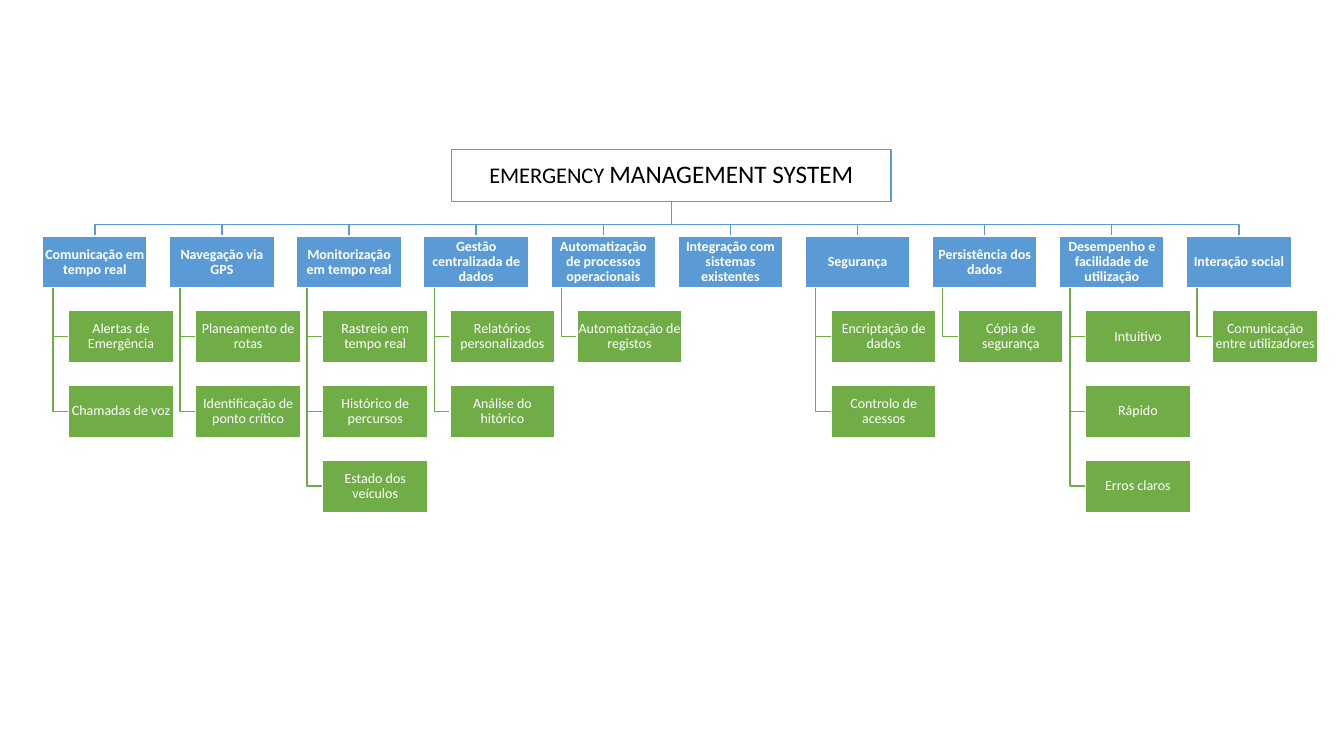
from dataclasses import dataclass

from pptx import Presentation
from pptx.dml.color import RGBColor
from pptx.enum.shapes import MSO_SHAPE as Preset
from pptx.enum.text import MSO_ANCHOR as Anchor, PP_ALIGN as Align
from pptx.util import Pt

BLUE = RGBColor(0x5B, 0x9B, 0xD5)
GREEN = RGBColor(0x70, 0xAD, 0x47)
WHITE = RGBColor(0xFF, 0xFF, 0xFF)
BLACK = RGBColor(0x00, 0x00, 0x00)

# Layout in points
ROOT_LEFT, ROOT_TOP, ROOT_WIDTH = 322.6, 106.6, 313.9
BOX_WIDTH, BOX_HEIGHT = 74.9, 37.4
FIRST_LEFT, FIRST_TOP = 30.3, 168.5
COLUMN_STEP, ROW_STEP = 90.8, 53.35
TRUNK_INDENT, CHILD_INDENT = 7.5, 18.7
BUS_TOP = 160.5


@dataclass(frozen=True)
class Branch:
    title: str
    children: tuple[str, ...] = ()


BRANCHES = (
    Branch("Comunicação em tempo real", ("Alertas de Emergência", "Chamadas de voz")),
    Branch("Navegação via GPS", ("Planeamento de rotas", "Identificação de ponto crítico")),
    Branch("Monitorização em tempo real",
           ("Rastreio em tempo real", "Histórico de percursos", "Estado dos veículos")),
    Branch("Gestão centralizada de dados", ("Relatórios personalizados", "Análise do hitórico")),
    Branch("Automatização de processos operacionais", ("Automatização de registos",)),
    Branch("Integração com sistemas existentes"),
    Branch("Segurança", ("Encriptação de dados", "Controlo de acessos")),
    Branch("Persistência dos dados", ("Cópia de segurança",)),
    Branch("Desempenho e facilidade de utilização", ("Intuitivo", "Rápido", "Erros claros")),
    Branch("Interação social", ("Comunicação entre utilizadores",)),
)


def add_span(para, text: str, *, size: float = 10, color: RGBColor = WHITE,
             bold: bool = False) -> None:
    span = para.add_run()
    span.text = text
    span.font.name = "Calibri"
    span.font.size = Pt(size)
    span.font.bold = bold
    span.font.color.rgb = color


def add_box(page, left: float, top: float, width: float, fill: RGBColor, line: RGBColor):
    """Draw a box and return its centred paragraph."""
    box = page.shapes.add_shape(Preset.RECTANGLE, Pt(left), Pt(top), Pt(width), Pt(BOX_HEIGHT))
    box.shadow.inherit = False
    box.fill.solid()
    box.fill.fore_color.rgb = fill
    box.line.color.rgb = line
    box.line.width = Pt(1)
    frame = box.text_frame
    frame.word_wrap = True
    frame.vertical_anchor = Anchor.MIDDLE
    frame.margin_left = frame.margin_right = Pt(0.5)
    frame.margin_top = frame.margin_bottom = Pt(0.5)
    para = frame.paragraphs[0]
    para.alignment = Align.CENTER
    para.line_spacing = 0.9
    return para


def add_elbow(page, points: list[tuple[float, float]], color: RGBColor) -> None:
    start, *rest = [(Pt(x), Pt(y)) for x, y in points]
    builder = page.shapes.build_freeform(*start)
    builder.add_line_segments(rest, close=False)
    elbow = builder.convert_to_shape()
    elbow.shadow.inherit = False
    elbow.fill.background()
    elbow.line.color.rgb = color
    elbow.line.width = Pt(1)


def add_branch(page, branch: Branch, left: float) -> None:
    # Line from the root
    root_middle = ROOT_LEFT + ROOT_WIDTH / 2
    middle = left + BOX_WIDTH / 2
    add_elbow(page, [(root_middle, ROOT_TOP + BOX_HEIGHT), (root_middle, BUS_TOP),
                     (middle, BUS_TOP), (middle, FIRST_TOP)], BLUE)

    # Heading
    para = add_box(page, left, FIRST_TOP, BOX_WIDTH, BLUE, WHITE)
    add_span(para, branch.title, bold=True)

    # Children and their lines
    trunk, child_left = left + TRUNK_INDENT, left + CHILD_INDENT
    for row, child in enumerate(branch.children, start=1):
        top = FIRST_TOP + row * ROW_STEP
        middle_y = top + BOX_HEIGHT / 2
        add_elbow(page, [(trunk, FIRST_TOP + BOX_HEIGHT), (trunk, middle_y),
                         (child_left, middle_y)], GREEN)
        add_span(add_box(page, child_left, top, BOX_WIDTH, GREEN, WHITE), child)


def main() -> None:
    deck = Presentation()
    deck.slide_width, deck.slide_height = Pt(960), Pt(540)
    page = deck.slides.add_slide(deck.slide_layouts[6])

    # Branches
    for column, branch in enumerate(BRANCHES):
        add_branch(page, branch, FIRST_LEFT + column * COLUMN_STEP)

    # Root
    para = add_box(page, ROOT_LEFT, ROOT_TOP, ROOT_WIDTH, WHITE, BLUE)
    add_span(para, "EMERGENCY ", size=16, color=BLACK)
    add_span(para, "MANAGEMENT SYSTEM", size=18, color=BLACK)

    deck.save("out.pptx")


if __name__ == "__main__":
    main()
